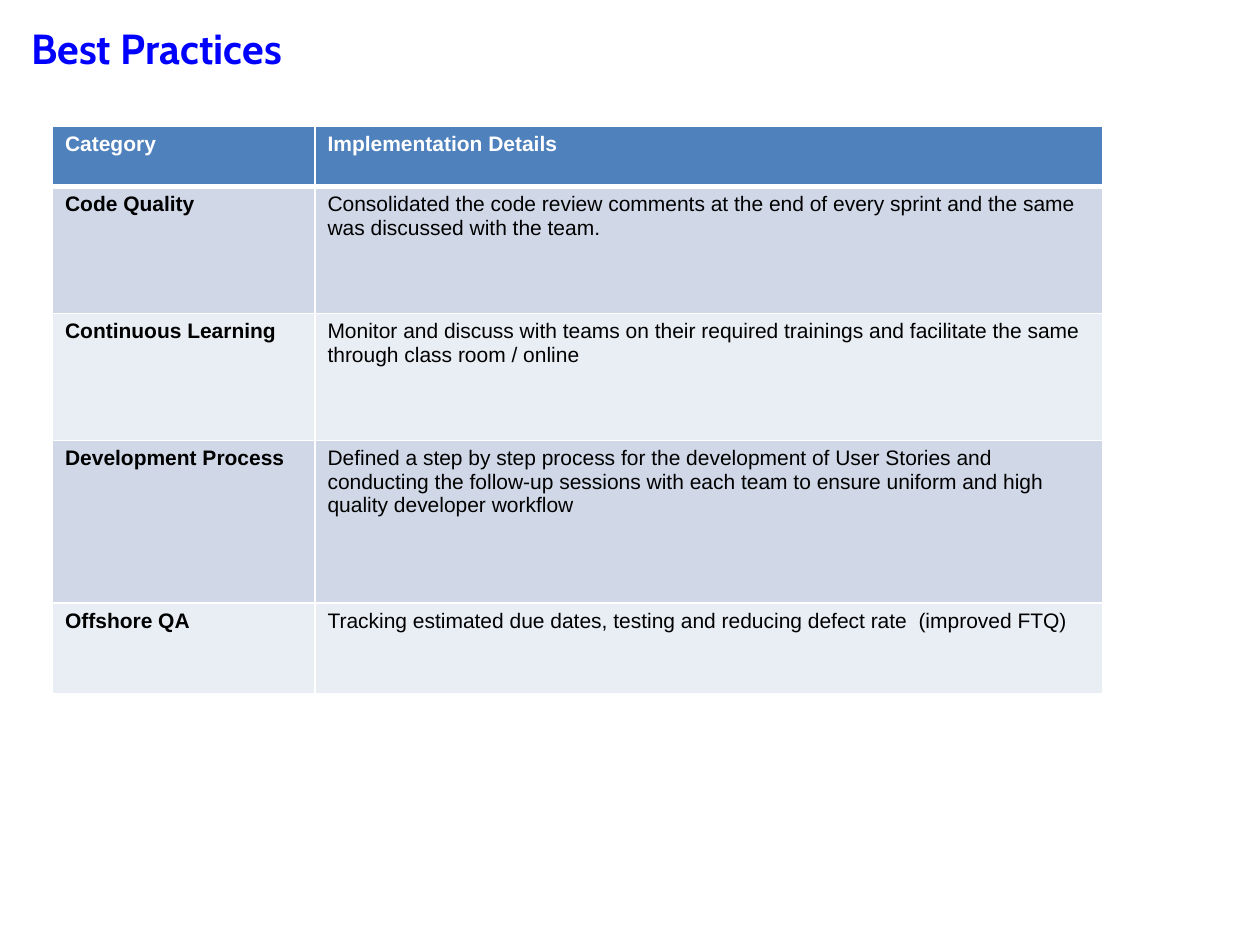
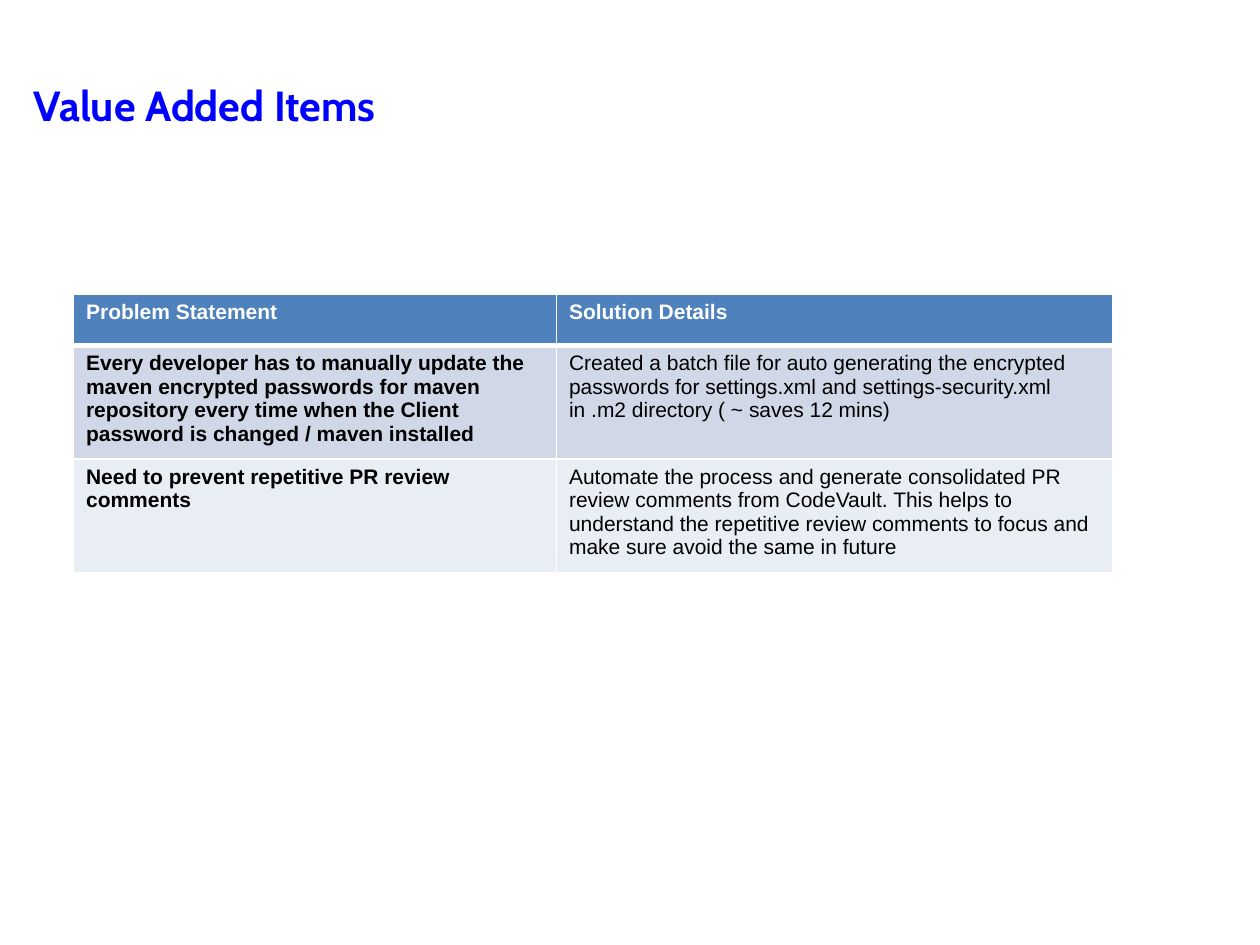
"""Build two slides, each with a title and a two-column table."""
from lxml import etree
from pptx import Presentation, util as u
from pptx.dml.color import RGBColor
from pptx.enum import text
from pptx.oxml import ns

BLUE = RGBColor(0x00, 0x00, 0xFF)
HEADER = RGBColor(0x4F, 0x81, 0xBD)
BANDS = [RGBColor(0xE9, 0xED, 0xF4), RGBColor(0xD0, 0xD8, 0xE8)]
WHITE = RGBColor(0xFF, 0xFF, 0xFF)
BLACK = RGBColor(0x00, 0x00, 0x00)

prs = Presentation()
prs.slide_width, prs.slide_height = u.Inches(10), u.Inches(7.5)
UNIT = prs.slide_width / 120


def grid(*units):
    return [round(n * UNIT) for n in units]


def add_borders(cell, row):
    widths = {"L": 1, "R": 1, "T": 3 if row == 1 else 1, "B": 3 if row == 0 else 1}
    tcPr = cell._tc.get_or_add_tcPr()
    for i, (side, width) in enumerate(widths.items()):
        ln = etree.Element(ns.qn(f"a:ln{side}"), w=str(u.Pt(width)))
        fill = etree.SubElement(ln, ns.qn("a:solidFill"))
        etree.SubElement(fill, ns.qn("a:srgbClr"), val=str(WHITE))
        tcPr.insert(i, ln)


SLIDES = [
    dict(
        title="Best Practices", title_at=(1.8, 1, 35.3, 7),
        table_at=(5, 12), cols=(25, 75), rows=(5.75, 12.1, 12.1, 15.5, 8.6),
        cells=[
            ("Category", "Implementation Details"),
            ("Code Quality",
             "Consolidated the code review comments at the end of every sprint "
             "and the same was discussed with the team."),
            ("Continuous Learning",
             "Monitor and discuss with teams on their required trainings and "
             "facilitate the same through class room / online"),
            ("Development Process",
             "Defined a step by step process for the development of User Stories "
             "and conducting the follow-up sessions with each team to ensure "
             "uniform and high quality developer workflow"),
            ("Offshore QA",
             "Tracking estimated due dates, testing and reducing defect rate  "
             "(improved FTQ)"),
        ]),
    dict(
        title="Value Added Items", title_at=(2, 7, 61.7, 6),
        table_at=(7, 28), cols=(46, 53), rows=(4.9, 10.2, 10.2),
        cells=[
            ("Problem Statement", "Solution Details"),
            ("Every developer has to manually update the maven encrypted "
             "passwords for maven repository every time when the Client "
             "password is changed / maven installed",
             "Created a batch file for auto generating the encrypted passwords "
             "for settings.xml and settings-security.xml in .m2 directory "
             "( ~ saves 12 mins)"),
            ("Need to prevent repetitive PR review comments",
             "Automate the process and generate consolidated PR review comments "
             "from CodeVault. This helps to understand the repetitive review "
             "comments to focus and make sure avoid the same in future"),
        ]),
]

for page in SLIDES:
    s = prs.slides.add_slide(prs.slide_layouts[6])

    tf = s.shapes.add_textbox(*grid(*page["title_at"])).text_frame
    tf.word_wrap = True
    tf.vertical_anchor = text.MSO_ANCHOR.MIDDLE
    p = tf.paragraphs[0]
    p.text = page["title"]
    p.font.name, p.font.size, p.font.bold = "Cabin", u.Pt(24), True
    p.font.color.rgb = BLUE

    cols, rows = page["cols"], page["rows"]
    size = grid(sum(cols), sum(rows))
    tbl = s.shapes.add_table(len(rows), len(cols), *grid(*page["table_at"]), *size).table
    for col, width in zip(tbl.columns, grid(*cols)):
        col.width = width
    for row, height in zip(tbl.rows, grid(*rows)):
        row.height = height

    for i, line in enumerate(page["cells"]):
        for j, words in enumerate(line):
            cell = tbl.cell(i, j)
            cell.fill.solid()
            cell.fill.fore_color.rgb = BANDS[i % 2] if i else HEADER
            add_borders(cell, i)
            p = cell.text_frame.paragraphs[0]
            p.text = words
            p.font.name, p.font.size = "Arial", u.Pt(12)
            p.font.bold = i == 0 or j == 0
            p.font.color.rgb = BLACK if i else WHITE

prs.save("out.pptx")
